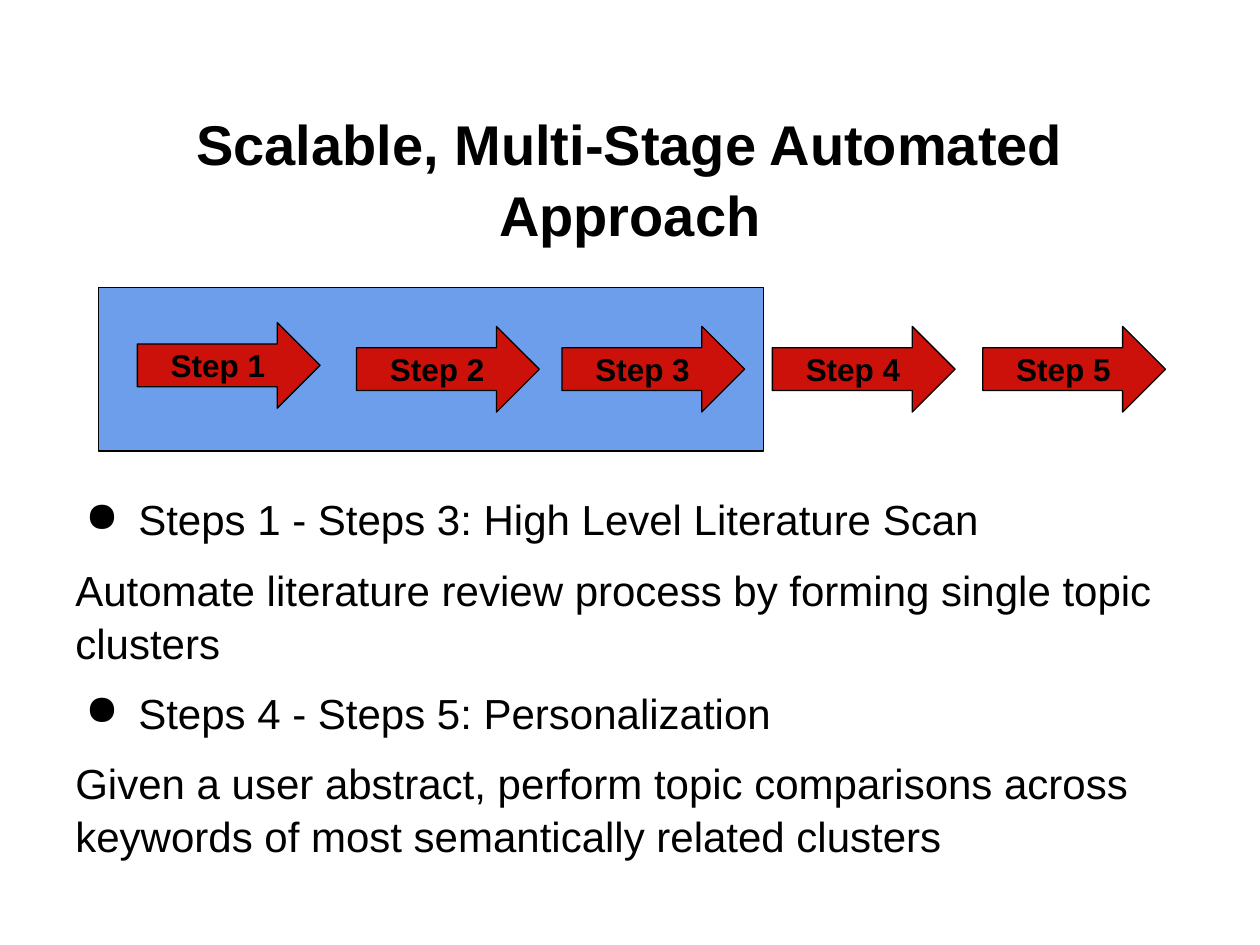
from dataclasses import dataclass

from lxml import etree
from pptx import Presentation
from pptx.dml.color import RGBColor
from pptx.enum import shapes, text
from pptx.oxml.ns import qn
from pptx.util import Inches, Pt


@dataclass(frozen=True)
class Theme:
    font: str = "Arial"
    ink: RGBColor = RGBColor(0x00, 0x00, 0x00)
    panel: RGBColor = RGBColor(0x6D, 0x9E, 0xEB)
    arrow: RGBColor = RGBColor(0xCC, 0x11, 0x0A)
    title_size: int = 32
    body_size: int = 24
    step_size: int = 18
    outline: float = 0.75
    line_spacing: float = 1.05


@dataclass(frozen=True)
class Box:
    left: float
    top: float
    width: float
    height: float

    def lengths(self) -> list:
        return [Inches(v) for v in (self.left, self.top, self.width, self.height)]


@dataclass(frozen=True)
class Step:
    label: str
    left: float
    top: float = 2.59


@dataclass(frozen=True)
class Line:
    wording: str
    bullet: bool = False


THEME = Theme()
ARROW_WIDTH, ARROW_HEIGHT = 1.45, 0.68
STEPS = [
    Step("Step 1", 1.09, 2.56),
    Step("Step 2", 2.83),
    Step("Step 3", 4.46),
    Step("Step 4", 6.13),
    Step("Step 5", 7.8),
]
SUMMARY = [
    Line("Steps 1 - Steps 3: High Level Literature Scan", bullet=True),
    Line("Automate literature review process by forming single topic clusters"),
    Line("Steps 4 - Steps 5: Personalization", bullet=True),
    Line("Given a user abstract, perform topic comparisons across "
         "keywords of most semantically related clusters"),
]


def add_bullet(paragraph) -> None:
    properties = paragraph._p.get_or_add_pPr()
    properties.set("marL", str(Inches(0.5)))
    properties.set("indent", str(Inches(-0.42)))
    color = etree.SubElement(properties, qn("a:buClr"))
    etree.SubElement(color, qn("a:srgbClr"), val=str(THEME.ink))
    etree.SubElement(properties, qn("a:buChar"), char="●")


def write(frame, lines: list[Line], *, size: int, bold: bool = False,
          align=text.PP_ALIGN.LEFT, anchor=text.MSO_ANCHOR.TOP,
          space_before: float = 0, line_spacing: float = 1.0) -> None:
    frame.word_wrap = True
    frame.vertical_anchor = anchor
    frame.margin_left = frame.margin_right = Inches(0.1)
    frame.margin_top = frame.margin_bottom = Inches(0.1)
    for index, line in enumerate(lines):
        paragraph = frame.add_paragraph() if index else frame.paragraphs[0]
        if line.bullet:
            add_bullet(paragraph)
        paragraph.alignment = align
        paragraph.line_spacing = line_spacing
        paragraph.space_before = Pt(space_before if index else 0)
        run = paragraph.add_run()
        run.text = line.wording
        run.font.name = THEME.font
        run.font.size = Pt(size)
        run.font.bold = bold
        run.font.color.rgb = THEME.ink


def add_outlined(slide, kind, box: Box, fill: RGBColor):
    shape = slide.shapes.add_shape(kind, *box.lengths())
    shape.shadow.inherit = False
    shape.fill.solid()
    shape.fill.fore_color.rgb = fill
    shape.line.color.rgb = THEME.ink
    shape.line.width = Pt(THEME.outline)
    return shape


def add_step(slide, step: Step) -> None:
    box = Box(step.left, step.top, ARROW_WIDTH, ARROW_HEIGHT)
    arrow = add_outlined(slide, shapes.MSO_SHAPE.RIGHT_ARROW, box, THEME.arrow)
    write(arrow.text_frame, [Line(step.label)], size=THEME.step_size, bold=True,
          align=text.PP_ALIGN.CENTER, anchor=text.MSO_ANCHOR.MIDDLE)


def main() -> None:
    deck = Presentation()
    deck.slide_width, deck.slide_height = Inches(10), Inches(7.5)
    slide = deck.slides.add_slide(deck.slide_layouts[6])

    # Title
    title = slide.shapes.add_textbox(*Box(0.5, 0.82, 9, 1.17).lengths())
    write(title.text_frame, [Line("Scalable, Multi-Stage Automated Approach")],
          size=THEME.title_size, bold=True, align=text.PP_ALIGN.CENTER,
          anchor=text.MSO_ANCHOR.MIDDLE, line_spacing=THEME.line_spacing)

    # Summary of the two stages
    summary = slide.shapes.add_textbox(*Box(0.5, 3.8, 9, 2.56).lengths())
    write(summary.text_frame, SUMMARY, size=THEME.body_size, space_before=10,
          line_spacing=THEME.line_spacing)

    # Panel behind the literature scan steps, then the step arrows
    add_outlined(slide, shapes.MSO_SHAPE.RECTANGLE, Box(0.78, 2.28, 5.28, 1.3),
                 THEME.panel)
    for step in STEPS:
        add_step(slide, step)

    deck.save("out.pptx")


if __name__ == "__main__":
    main()
